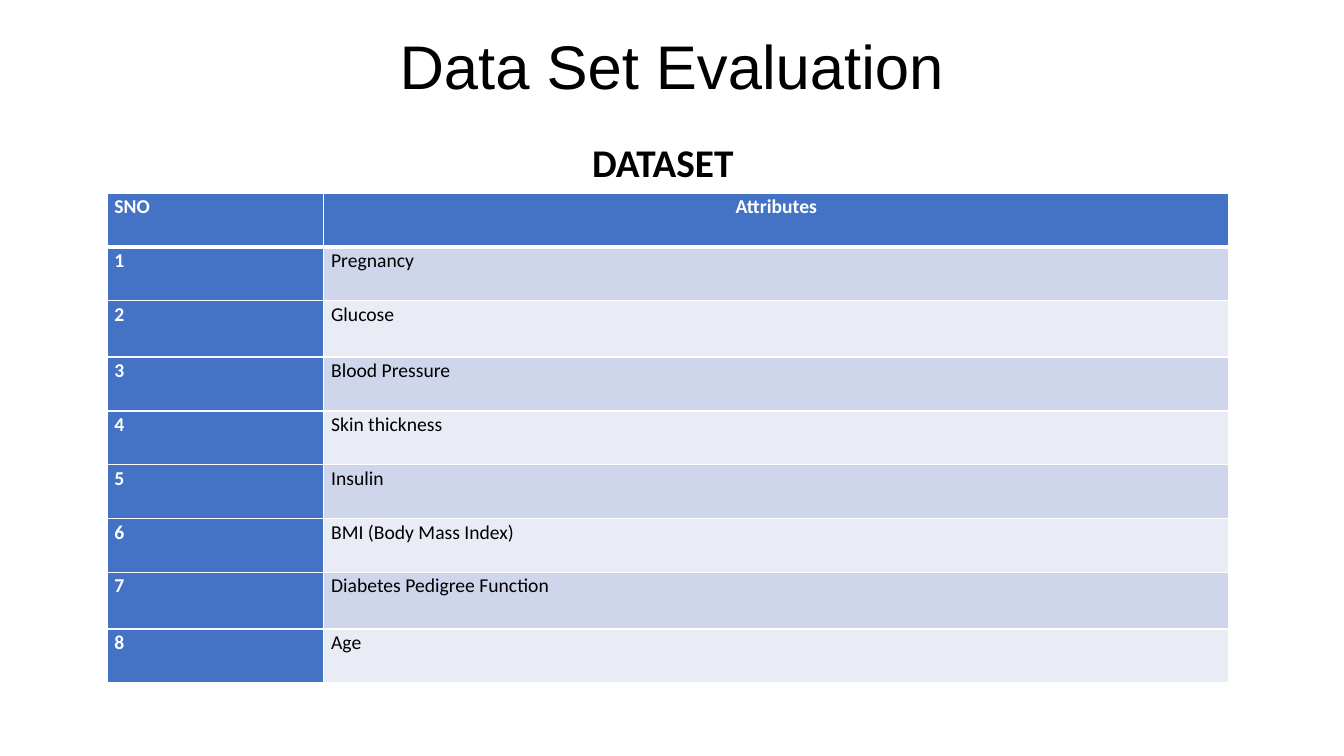
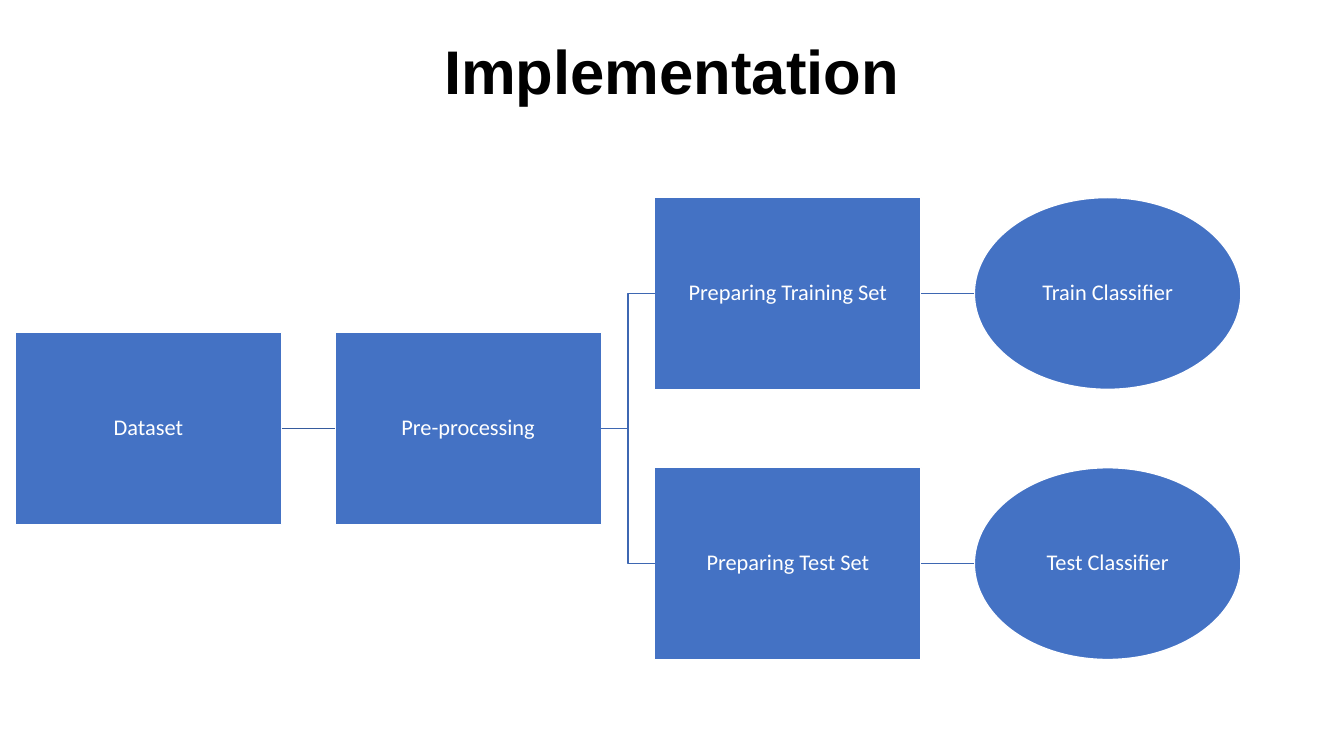
from dataclasses import dataclass

from lxml.etree import SubElement
from pptx import Presentation
from pptx.dml.color import RGBColor
from pptx.enum.shapes import MSO_CONNECTOR, MSO_SHAPE
from pptx.enum.text import MSO_ANCHOR, MSO_AUTO_SIZE, PP_ALIGN
from pptx.oxml.ns import qn
from pptx.shapes.autoshape import Shape
from pptx.slide import Slide
from pptx.table import _Cell
from pptx.text.text import TextFrame
from pptx.util import Pt

BLACK = RGBColor(0x00, 0x00, 0x00)
WHITE = RGBColor(0xFF, 0xFF, 0xFF)
BLUE = RGBColor(0x44, 0x72, 0xC4)
BAND_DARK = RGBColor(0xCF, 0xD5, 0xEA)
BAND_LIGHT = RGBColor(0xE9, 0xEB, 0xF5)
LINK_FIRST = RGBColor(0x36, 0x5B, 0x9D)
LINK_LATER = RGBColor(0x3E, 0x67, 0xB2)
TITLE_FONT = "Arial"
BODY_FONT = "Calibri"

TITLE_AND_CONTENT = 1
TITLE_ONLY = 5

ATTRIBUTES = [
    "Pregnancy",
    "Glucose",
    "Blood Pressure",
    "Skin thickness",
    "Insulin",
    "BMI (Body Mass Index)",
    "Diabetes Pedigree Function",
    "Age",
]
ROW_HEIGHT = 38.5
TALL_ROW_HEIGHT = 40.3
TALL_ROWS = (2, 7)
COLUMN_WIDTHS = (154.8, 646.6)

STEP_LEFT = 10.8
STEP_TOP = 141.1
STEP_WIDTH = 190.4
STEP_HEIGHT = 137
COLUMN_PITCH = 228.4
ROW_PITCH = 96.5
LEFT_SITE = 1
RIGHT_SITE = 3
OVAL_LEFT_SITE = 2


@dataclass(frozen=True)
class TextStyle:
    """Look of one paragraph of text."""

    size: float
    colour: RGBColor
    font: str = BODY_FONT
    bold: bool = False
    alignment: PP_ALIGN = PP_ALIGN.LEFT
    line_spacing: float = 0.9
    space_before: float = 0
    space_after: float = 0


@dataclass(frozen=True)
class Step:
    """One step of the process, placed by column and half row."""

    label: str
    column: int
    row: int
    is_oval: bool = False

    @property
    def left(self) -> float:
        """Left edge in points."""
        return STEP_LEFT + self.column * COLUMN_PITCH

    @property
    def top(self) -> float:
        """Top edge in points."""
        return STEP_TOP + self.row * ROW_PITCH

    @property
    def middle(self) -> float:
        """Vertical centre in points."""
        return self.top + STEP_HEIGHT / 2


@dataclass(frozen=True)
class Link:
    """A line from the right of one step to the left of another."""

    source: Step
    target: Step
    colour: RGBColor = LINK_LATER


DATASET = Step("Dataset", 0, 1)
PREPROCESSING = Step("Pre-processing", 1, 1)
TRAINING_SET = Step("Preparing Training Set", 2, 0)
TRAIN_CLASSIFIER = Step("Train Classifier", 3, 0, True)
TEST_SET = Step("Preparing Test Set", 2, 2)
TEST_CLASSIFIER = Step("Test Classifier", 3, 2, True)
STEPS = [DATASET, PREPROCESSING, TRAINING_SET, TRAIN_CLASSIFIER, TEST_SET, TEST_CLASSIFIER]
LINKS = [
    Link(DATASET, PREPROCESSING, LINK_FIRST),
    Link(PREPROCESSING, TRAINING_SET),
    Link(PREPROCESSING, TEST_SET),
    Link(TRAINING_SET, TRAIN_CLASSIFIER),
    Link(TEST_SET, TEST_CLASSIFIER),
]


def write_text(text_frame: TextFrame, text: str, style: TextStyle) -> None:
    """Write one styled paragraph."""
    text_frame.text = text
    paragraph = text_frame.paragraphs[0]
    paragraph.alignment = style.alignment
    paragraph.line_spacing = style.line_spacing
    paragraph.space_before = Pt(style.space_before)
    paragraph.space_after = Pt(style.space_after)
    for run in paragraph.runs:
        run.font.name = style.font
        run.font.size = Pt(style.size)
        run.font.bold = style.bold
        run.font.color.rgb = style.colour


def place(shape: Shape, left: float, top: float, width: float, height: float) -> None:
    """Move and size a shape in points."""
    shape.left, shape.top = Pt(left), Pt(top)
    shape.width, shape.height = Pt(width), Pt(height)


def set_title(slide: Slide, text: str, height: float, bold: bool = False) -> None:
    """Fill the title placeholder in the shared title style."""
    title = slide.shapes.title
    place(title, 66, 1.4, 828, height)
    title.text_frame.auto_size = MSO_AUTO_SIZE.NONE
    title.text_frame.vertical_anchor = MSO_ANCHOR.MIDDLE
    write_text(title.text_frame, text, TextStyle(44, BLACK, TITLE_FONT, bold, PP_ALIGN.CENTER))


def set_heading(slide: Slide, text: str) -> None:
    """Fill the body placeholder with a centred heading without a bullet."""
    body = slide.placeholders[1]
    place(body, 56, 99.2, 828, 440.8)
    text_frame = body.text_frame
    text_frame.auto_size = MSO_AUTO_SIZE.NONE
    text_frame.vertical_anchor = MSO_ANCHOR.TOP
    text_frame.margin_left = Pt(14)
    style = TextStyle(28, BLACK, bold=True, alignment=PP_ALIGN.CENTER, space_before=10)
    write_text(text_frame, text, style)
    properties = text_frame.paragraphs[0]._p.get_or_add_pPr()
    properties.set("marL", "0")
    properties.set("indent", "0")
    SubElement(properties, qn("a:buNone"))


def set_borders(cell: _Cell, top: float, bottom: float) -> None:
    """Give a cell white borders of the given widths."""
    properties = cell._tc.get_or_add_tcPr()
    widths = {"a:lnL": 1, "a:lnR": 1, "a:lnT": top, "a:lnB": bottom}
    for position, (tag, width) in enumerate(widths.items()):
        line = SubElement(properties, qn(tag), w=str(Pt(width)))
        fill = SubElement(line, qn("a:solidFill"))
        SubElement(fill, qn("a:srgbClr"), val=str(WHITE))
        properties.insert(position, line)


def add_attribute_table(slide: Slide) -> None:
    """Draw the numbered table of attributes."""
    rows = [("SNO", "Attributes")]
    rows += [(str(number), name) for number, name in enumerate(ATTRIBUTES, 1)]
    heights = [TALL_ROW_HEIGHT if row in TALL_ROWS else ROW_HEIGHT for row in range(len(rows))]
    frame = slide.shapes.add_table(
        len(rows), 2, Pt(76.5), Pt(137.8), Pt(sum(COLUMN_WIDTHS)), Pt(sum(heights))
    )
    table = frame.table
    table.first_row = table.horz_banding = False
    for column, width in zip(table.columns, COLUMN_WIDTHS):
        column.width = Pt(width)
    for row_index, (texts, height) in enumerate(zip(rows, heights)):
        table.rows[row_index].height = Pt(height)
        for column_index, text in enumerate(texts):
            cell = table.cell(row_index, column_index)
            is_heading = row_index == 0 or column_index == 0
            band = BAND_DARK if row_index % 2 else BAND_LIGHT
            is_centred = row_index == 0 and column_index == 1
            cell.margin_left = cell.margin_right = Pt(5.2)
            cell.margin_top = cell.margin_bottom = Pt(0)
            cell.fill.solid()
            cell.fill.fore_color.rgb = BLUE if is_heading else band
            set_borders(cell, 3 if row_index == 1 else 1, 3 if row_index == 0 else 1)
            style = TextStyle(
                14,
                WHITE if is_heading else BLACK,
                bold=is_heading,
                alignment=PP_ALIGN.CENTER if is_centred else PP_ALIGN.LEFT,
                line_spacing=1.07,
                space_after=8,
            )
            write_text(cell.text_frame, text, style)


def add_step(slide: Slide, step: Step) -> Shape:
    """Draw one step as a box or an oval."""
    kind = MSO_SHAPE.OVAL if step.is_oval else MSO_SHAPE.RECTANGLE
    shape = slide.shapes.add_shape(
        kind, Pt(step.left), Pt(step.top), Pt(STEP_WIDTH), Pt(STEP_HEIGHT)
    )
    shape.shadow.inherit = False
    shape.fill.solid()
    shape.fill.fore_color.rgb = BLUE
    shape.line.color.rgb = WHITE
    shape.line.width = Pt(1)
    text_frame = shape.text_frame
    text_frame.word_wrap = True
    text_frame.vertical_anchor = MSO_ANCHOR.MIDDLE
    text_frame.margin_left = text_frame.margin_right = Pt(1)
    text_frame.margin_top = text_frame.margin_bottom = Pt(1)
    write_text(text_frame, step.label, TextStyle(16, WHITE, alignment=PP_ALIGN.CENTER))
    return shape


def add_link(slide: Slide, link: Link, shapes: dict[Step, Shape]) -> None:
    """Join two steps with a straight or elbow connector."""
    source, target = link.source, link.target
    is_level = source.row == target.row
    connector = slide.shapes.add_connector(
        MSO_CONNECTOR.STRAIGHT if is_level else MSO_CONNECTOR.ELBOW,
        Pt(source.left + STEP_WIDTH),
        Pt(source.middle),
        Pt(target.left),
        Pt(target.middle),
    )
    connector.begin_connect(shapes[source], RIGHT_SITE)
    connector.end_connect(shapes[target], OVAL_LEFT_SITE if target.is_oval else LEFT_SITE)
    connector.end_x, connector.end_y = Pt(target.left), Pt(target.middle)
    connector.line.color.rgb = link.colour
    connector.line.width = Pt(1)
    SubElement(connector._element.spPr, qn("a:effectLst"))


def build_dataset_slide(presentation: Presentation) -> None:
    """Build the slide with the table of attributes."""
    slide = presentation.slides.add_slide(presentation.slide_layouts[TITLE_AND_CONTENT])
    set_title(slide, "Data Set Evaluation", 97.2)
    set_heading(slide, "DATASET")
    add_attribute_table(slide)


def build_implementation_slide(presentation: Presentation) -> None:
    """Build the slide with the process diagram."""
    slide = presentation.slides.add_slide(presentation.slide_layouts[TITLE_ONLY])
    set_title(slide, "Implementation", 104.4, bold=True)
    shapes = {step: add_step(slide, step) for step in STEPS}
    for link in LINKS:
        add_link(slide, link, shapes)


def main() -> None:
    """Build and save the presentation."""
    presentation = Presentation()
    presentation.slide_width, presentation.slide_height = Pt(960), Pt(540)
    build_dataset_slide(presentation)
    build_implementation_slide(presentation)
    presentation.save("out.pptx")


main()
